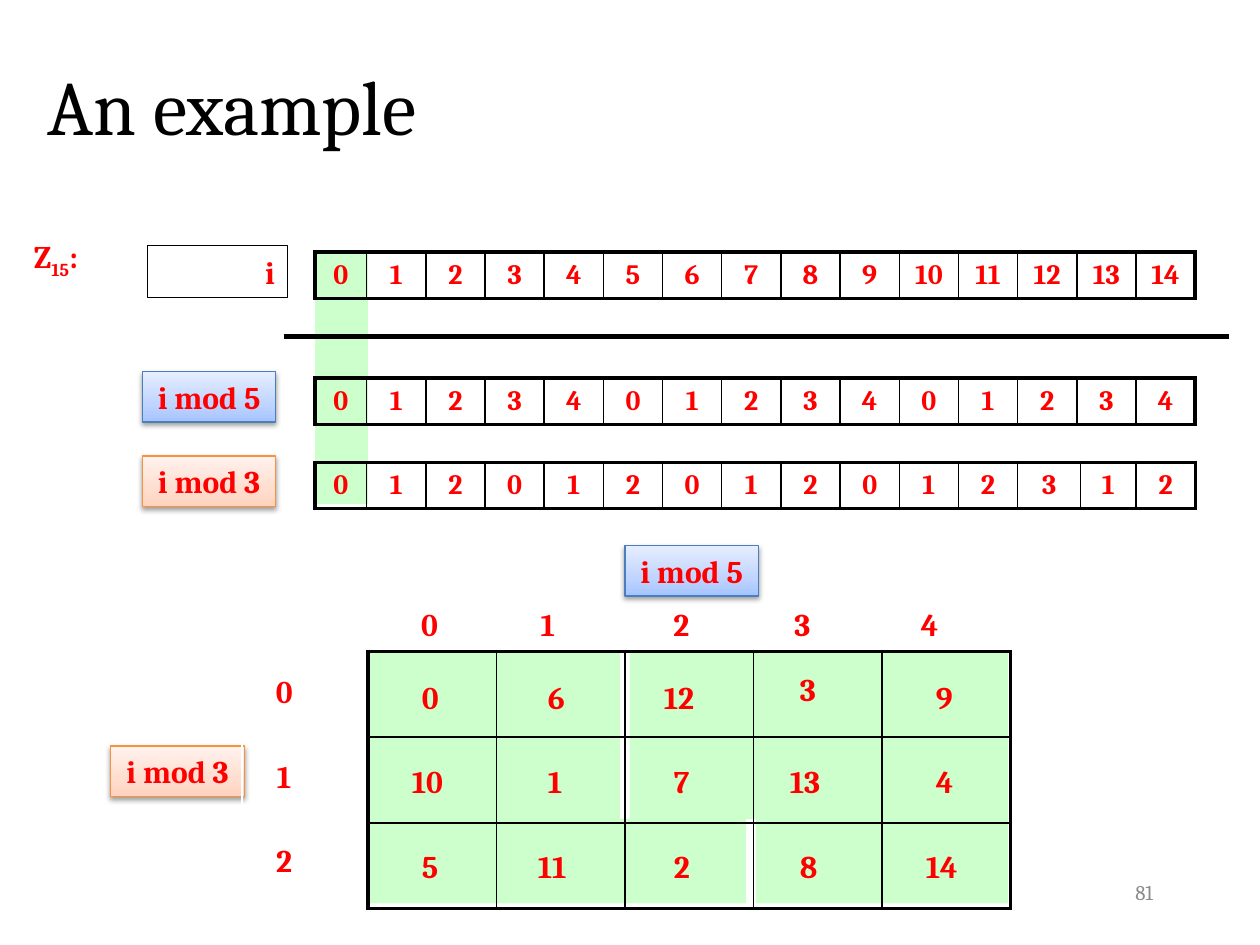
from copy import deepcopy

from lxml import etree
from pptx import Presentation
from pptx.dml.color import RGBColor
from pptx.enum import shapes, text
from pptx.oxml import ns
from pptx.util import Inches, Pt

FONT = "Cambria"
RED = RGBColor(0xFF, 0x00, 0x00)
BLACK = RGBColor(0x00, 0x00, 0x00)
GREY = RGBColor(0x8C, 0x8C, 0x8C)
GREEN = RGBColor(0xCC, 0xFF, 0xCC)
BLUE_EDGE = RGBColor(0x4B, 0x7E, 0xBC)
ORANGE_EDGE = RGBColor(0xF6, 0x92, 0x40)
BLUES = [RGBColor(0xA4, 0xC4, 0xFF), RGBColor(0xBF, 0xD4, 0xFF), RGBColor(0xE6, 0xEE, 0xFF)]
ORANGES = [RGBColor(0xFF, 0xD2, 0xBD), RGBColor(0xFF, 0xDE, 0xD0), RGBColor(0xFF, 0xF2, 0xED)]
LEFT, CENTER, RIGHT = text.PP_ALIGN.LEFT, text.PP_ALIGN.CENTER, text.PP_ALIGN.RIGHT

prs = Presentation()
prs.slide_width, prs.slide_height = Inches(10), Inches(7.5)
slide = prs.slides.add_slide(prs.slide_layouts[5])


def write(frame, words, size=18, color=RED, bold=True, align=LEFT, wrap=False):
    """Put one run into a frame and return its paragraph."""
    frame.word_wrap = wrap
    paragraph = frame.paragraphs[0]
    paragraph.alignment = align
    run = paragraph.add_run()
    run.text = words
    font = run.font
    font.name, font.size, font.bold, font.color.rgb = FONT, Pt(size), bold, color
    return paragraph


def add_grid(left, top, widths, height, rows, size=16, ruled=True):
    """Table without fill; ruled ones have a thick frame and thin inner lines."""
    grid = slide.shapes.add_table(len(rows), len(widths), Inches(left), Inches(top),
                                  Inches(sum(widths)), Inches(height * len(rows))).table
    grid.first_row = grid.horz_banding = False
    for column, width in zip(grid.columns, widths):
        column.width = Inches(width)
    for r, row in enumerate(rows):
        grid.rows[r].height = Inches(height)
        for c, value in enumerate(row):
            cell = grid.cell(r, c)
            cell.vertical_anchor = text.MSO_ANCHOR.MIDDLE
            cell.margin_left = cell.margin_right = Inches(0.05)
            if value != "":
                write(cell.text_frame, str(value), size, align=CENTER, wrap=True)
            if ruled:
                outer = {"lnL": c == 0, "lnR": c == len(widths) - 1,
                         "lnT": r == 0, "lnB": r == len(rows) - 1}
                for side, thick in outer.items():
                    edge = etree.SubElement(cell._tc.get_or_add_tcPr(), ns.qn(f"a:{side}"),
                                            w=str(Pt(2.25 if thick else 1)))
                    solid = etree.SubElement(edge, ns.qn("a:solidFill"))
                    etree.SubElement(solid, ns.qn("a:srgbClr"), val=str(BLACK))
            cell.fill.background()


# Title and page number
title = slide.shapes.title
title.left, title.top, title.width, title.height = map(Inches, (0.28, 0.21, 8.94, 1.25))
title.text_frame.vertical_anchor = text.MSO_ANCHOR.MIDDLE
write(title.text_frame, "An example", 44, BLACK, False, wrap=True)
page = slide.shapes.add_textbox(Inches(7.17), Inches(6.83), Inches(2.08), Inches(0.5))
page.text_frame.vertical_anchor = text.MSO_ANCHOR.MIDDLE
write(page.text_frame, "81", 12, GREY, False, RIGHT, True)

# Green squares behind the grid, and the band behind the first column
row_tops = [5.17, 5.83, 6.5]
greens = [(left, top, 1, 0.67) for top in row_tops
          for left in (2.92, 3.92, 4.92 if top == 6.5 else 5, 6, 7)]
for area in greens + [(2.5, 2, 0.42, 2)]:
    green = slide.shapes.add_shape(shapes.MSO_SHAPE.RECTANGLE, *map(Inches, area))
    green.shadow.inherit = False
    green.fill.solid()
    green.fill.fore_color.rgb = GREEN
    green.line.fill.background()

# Rows of i, i mod 5 and i mod 3
numbers = range(15)
widths = [0.41] + [0.47] * 14
mod_3 = [i % 3 for i in numbers]
mod_3[12] = 3  # as shown on the slide
mod_3_widths = widths[:12] + [0.5, 0.44, 0.47]
add_grid(2.5, 2, widths, 0.36, [numbers])
add_grid(2.5, 3, widths, 0.36, [[i % 5 for i in numbers]])
add_grid(2.5, 3.67, mod_3_widths, 0.36, [mod_3])

# Label for i
index = slide.shapes.add_shape(shapes.MSO_SHAPE.RECTANGLE, Inches(1.17), Inches(1.95),
                               Inches(1.11), Inches(0.41))
index.shadow.inherit = False
index.fill.background()
index.line.color.rgb, index.line.width = BLACK, Pt(0.75)
write(index.text_frame, "i", align=RIGHT, wrap=True)

# Shaded labels
for left, top, label, tints, edge in [
    (1.13, 2.95, "i mod 5", BLUES, BLUE_EDGE),
    (1.13, 3.62, "i mod 3", ORANGES, ORANGE_EDGE),
    (4.96, 4.33, "i mod 5", BLUES, BLUE_EDGE),
    (0.88, 5.92, "i mod 3", ORANGES, ORANGE_EDGE),
]:
    tag = slide.shapes.add_shape(shapes.MSO_SHAPE.RECTANGLE, Inches(left), Inches(top),
                                 Inches(1.06), Inches(0.4))
    tag.fill.gradient()
    tag.fill.gradient_angle = 90
    stop_list = tag._element.spPr.find(".//" + ns.qn("a:gsLst"))
    stop_list.insert(1, deepcopy(stop_list[0]))
    for stop, tint, position in zip(tag.fill.gradient_stops, tints, (0, 0.35, 1)):
        stop.color.rgb, stop.position = tint, position
    tag.line.color.rgb, tag.line.width = edge, Pt(0.75)
    tag.shadow.inherit = False
    shadow = etree.SubElement(tag._element.spPr.find(ns.qn("a:effectLst")),
                              ns.qn("a:outerShdw"), blurRad=str(Pt(3.1)), dist=str(Pt(1.6)),
                              dir="5400000", rotWithShape="0")
    shade = etree.SubElement(shadow, ns.qn("a:srgbClr"), val=str(BLACK))
    etree.SubElement(shade, ns.qn("a:alpha"), val="38000")
    write(tag.text_frame, label, align=CENTER)

# Rule under the row of i
rule = slide.shapes.add_connector(shapes.MSO_CONNECTOR.STRAIGHT, Inches(2.25), Inches(2.67),
                                  Inches(9.75), Inches(2.67))
rule.line.color.rgb, rule.line.width = BLACK, Pt(3)
etree.SubElement(rule._element.spPr, ns.qn("a:effectLst"))

# Residue grid with its row labels
add_grid(2.92, 5.17, [1.02] * 5, 0.68, [[""] * 5] * 3)
add_grid(1.92, 5.17, [0.67], 0.67, [[0], [1], [2]], 18, ruled=False)

# Column labels, centred on tab stops
heads = slide.shapes.add_textbox(Inches(3.08), Inches(4.75), Inches(4.92), Inches(0.4))
tabs = etree.SubElement(heads.text_frame.paragraphs[0]._p.get_or_add_pPr(), ns.qn("a:tabLst"))
for stop in (0.23, 1.17, 2.23, 3.19, 4.2):
    etree.SubElement(tabs, ns.qn("a:tab"), pos=str(Inches(stop)), algn="ctr")
write(heads.text_frame, "".join(f"\t{i}" for i in range(5)), wrap=True)

# Each number in the cell of its residues
column_lefts = [3.25, 4.25, 5.25, 6.25, 7.33]
number_tops = [5.33, 6, 6.67]
for i in numbers:
    left, width = column_lefts[i % 5], 0.35
    if i > 9:
        left, width = left - 0.08, 0.5
    top = 5.27 if i == 3 else number_tops[i % 3]
    number = slide.shapes.add_textbox(Inches(left), Inches(top), Inches(width), Inches(0.4))
    write(number.text_frame, str(i))

# Name of the ring
ring = slide.shapes.add_textbox(Inches(0.17), Inches(1.83), Inches(0.62), Inches(0.4))
for part in ("Z", "15", ":"):
    name = write(ring.text_frame, part)
name.runs[1].font._element.set("baseline", "-25000")

prs.save("out.pptx")
